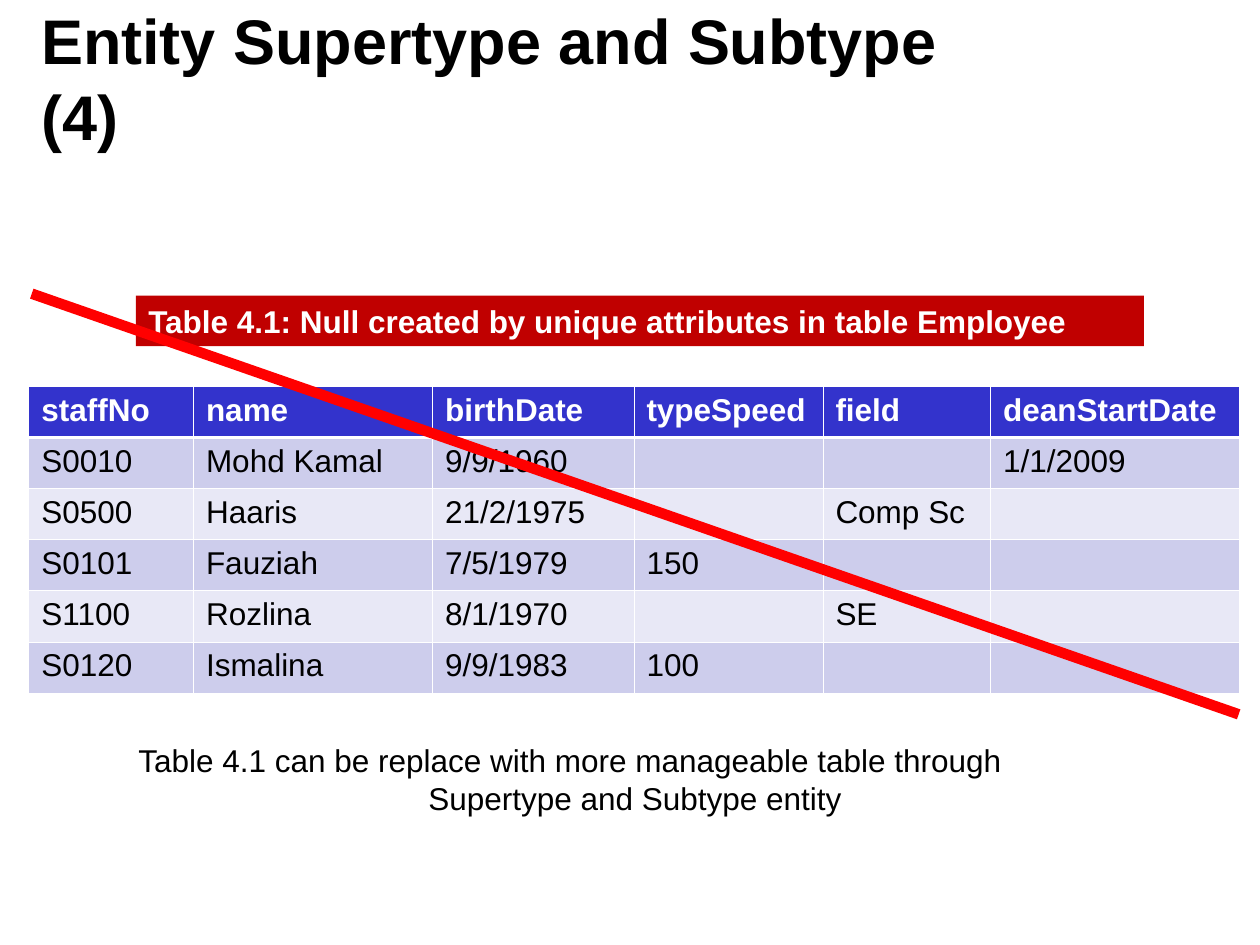
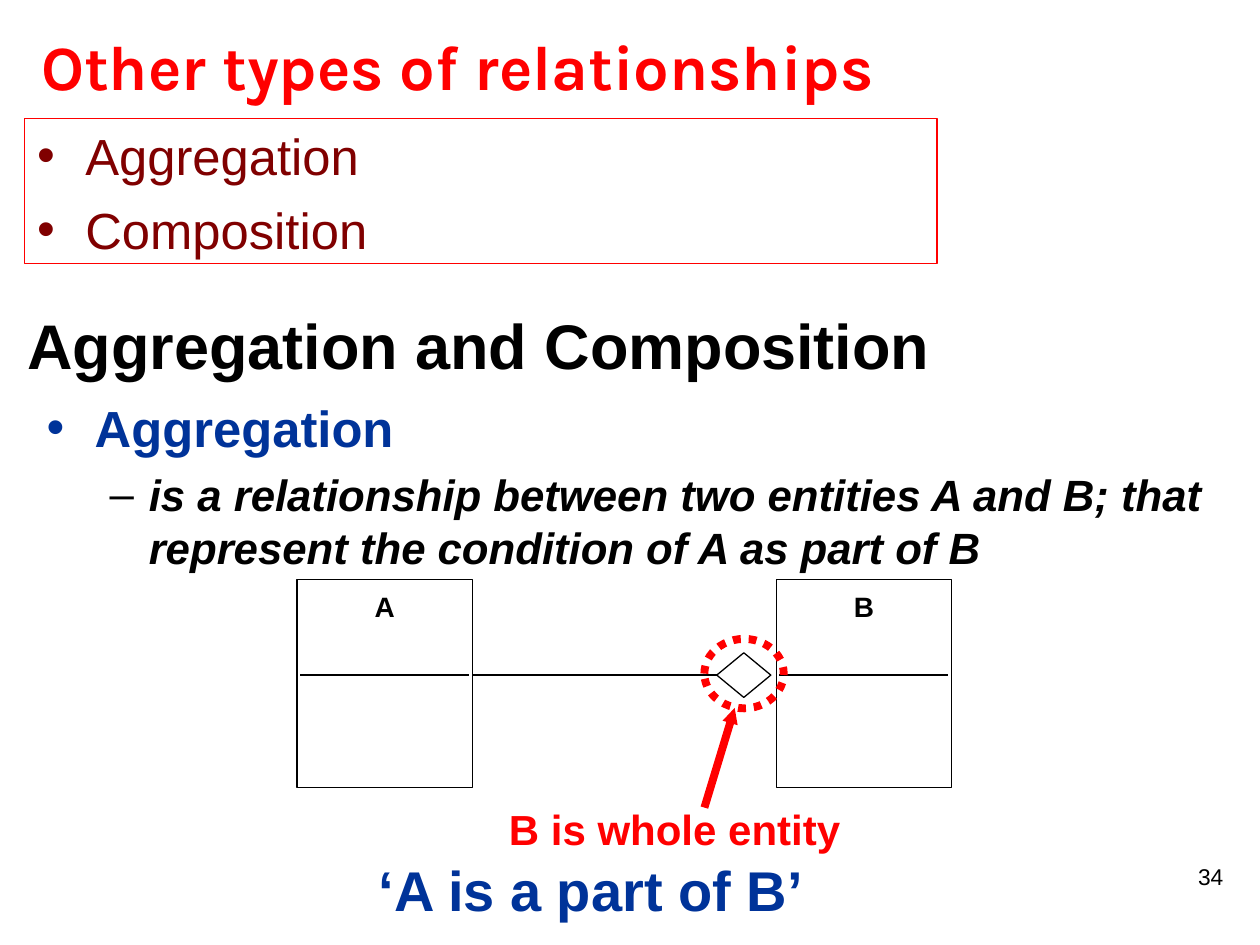
from pptx import Presentation
from pptx.dml.color import RGBColor
from pptx.enum.dml import MSO_LINE
from pptx.enum.shapes import MSO_CONNECTOR, MSO_SHAPE
from pptx.enum.text import MSO_ANCHOR, PP_ALIGN
from pptx.oxml.ns import qn
from pptx.util import Cm, Pt
from lxml.etree import SubElement

BLACK = RGBColor(0x00, 0x00, 0x00)
WHITE = RGBColor(0xFF, 0xFF, 0xFF)
RED = RGBColor(0xFF, 0x00, 0x00)
CRIMSON = RGBColor(0xC0, 0x00, 0x00)
MAROON = RGBColor(0x80, 0x00, 0x00)
NAVY = RGBColor(0x00, 0x33, 0x99)
HEADER_BLUE = RGBColor(0x33, 0x33, 0xCC)
BAND_DARK = RGBColor(0xCD, 0xCD, 0xEC)
BAND_LIGHT = RGBColor(0xE8, 0xE8, 0xF6)

TITLE_SIZE = (20.4, 2.36)
TITLE = {"size": 36, "bold": True}
BULLET = {"size": 29, "bullet": ("•", 0.97, 0.97)}
DASH = {"size": 25, "bold": True, "italic": True, "bullet": ("–", 2.06, 0.79),
        "space_before": Pt(6)}

COLUMN_WIDTHS = (3.32, 4.82, 4.06, 3.81, 3.38, 5.01)
ROW_HEIGHT = 1.03
STAFF = (
    ("staffNo", "name", "birthDate", "typeSpeed", "field", "deanStartDate"),
    ("S0010", "Mohd Kamal", "9/9/1960", "", "", "1/1/2009"),
    ("S0500", "Haaris", "21/2/1975", "", "Comp Sc", ""),
    ("S0101", "Fauziah", "7/5/1979", "150", "", ""),
    ("S1100", "Rozlina", "8/1/1970", "", "SE", ""),
    ("S0120", "Ismalina", "9/9/1983", "100", "", ""),
)


def add_bullet(para, mark, margin, hang, color):
    """Give a paragraph a coloured bullet with a hanging indent."""
    properties = para._p.get_or_add_pPr()
    properties.set("marL", str(Cm(margin)))
    properties.set("indent", str(-Cm(hang)))
    tint = SubElement(properties, qn("a:buClr"))
    SubElement(tint, qn("a:srgbClr"), val=str(color))
    SubElement(properties, qn("a:buFont"), typeface="Arial")
    SubElement(properties, qn("a:buChar"), char=mark)


def write_paragraph(para, text, values):
    """Fill one paragraph with a single formatted span."""
    values = {"size": 18, "name": "Arial", "color": BLACK, "bold": False, **values}
    for name in ("alignment", "space_before"):
        if name in values:
            setattr(para, name, values[name])
    if "bullet" in values:
        add_bullet(para, *values["bullet"], values["color"])
    span = para.add_run()
    span.text = text
    values["size"] = Pt(values["size"])
    for name in ("size", "name", "bold", "italic"):
        if name in values:
            setattr(span.font, name, values[name])
    span.font.color.rgb = values["color"]


def write(shape, *paragraphs, anchor=MSO_ANCHOR.TOP):
    """Write (text, values) pairs into a shape, one paragraph each."""
    frame = shape.text_frame
    frame.word_wrap = True
    frame.vertical_anchor = anchor
    for number, (text, values) in enumerate(paragraphs):
        para = frame.add_paragraph() if number else frame.paragraphs[0]
        write_paragraph(para, text, {"alignment": PP_ALIGN.LEFT, **values})


def add_text(page, box, *paragraphs, **options):
    """Add a text box."""
    write(page.shapes.add_textbox(*map(Cm, box)), *paragraphs, **options)


def add_shape(page, kind, box, fill=None, line=None, width=0.75):
    """Add a flat preset shape."""
    shape = page.shapes.add_shape(kind, *map(Cm, box))
    shape.shadow.inherit = False
    if fill is None:
        shape.fill.background()
    else:
        shape.fill.solid()
        shape.fill.fore_color.rgb = fill
    if line is None:
        shape.line.fill.background()
    else:
        shape.line.color.rgb = line
        shape.line.width = Pt(width)
    return shape


def add_line(page, start, end, color=BLACK, width=0.75, arrow=False):
    """Add a straight line, with an arrowhead at its end if asked."""
    line = page.shapes.add_connector(MSO_CONNECTOR.STRAIGHT, *map(Cm, start + end))
    line.line.color.rgb = color
    line.line.width = Pt(width)
    if arrow:
        SubElement(line.line._get_or_add_ln(), qn("a:tailEnd"),
                   type="triangle", w="sm", len="sm")
    SubElement(line._element.spPr, qn("a:effectLst"))


def add_title(page, left, top, text, **values):
    """Add a slide heading."""
    add_text(page, (left, top, *TITLE_SIZE), (text, {**TITLE, **values}),
             anchor=MSO_ANCHOR.MIDDLE)


def add_borders(cell, widths):
    """Draw white borders around a table cell."""
    properties = cell._tc.get_or_add_tcPr()
    for side, width in widths.items():
        border = SubElement(properties, qn(f"a:ln{side}"), w=str(Pt(width)))
        fill = SubElement(border, qn("a:solidFill"))
        SubElement(fill, qn("a:srgbClr"), val=str(WHITE))


def add_staff_table(page, left, top):
    """Add the staff table with its header row and banded rows."""
    size = (sum(COLUMN_WIDTHS), ROW_HEIGHT * len(STAFF))
    table = page.shapes.add_table(len(STAFF), len(COLUMN_WIDTHS),
                                  *map(Cm, (left, top, *size))).table
    for column, width in zip(table.columns, COLUMN_WIDTHS):
        column.width = Cm(width)
    for row, texts in enumerate(STAFF):
        header = row == 0
        fill = HEADER_BLUE if header else BAND_DARK if row % 2 else BAND_LIGHT
        values = {"color": WHITE if header else BLACK, "bold": header}
        widths = {"L": 0.45, "R": 0.45, "T": 1.47 if row == 1 else 0.45,
                  "B": 1.47 if header else 0.45}
        for cell, text in zip(table.rows[row].cells, texts):
            add_borders(cell, widths)
            cell.fill.solid()
            cell.fill.fore_color.rgb = fill
            if text:
                write_paragraph(cell.text_frame.paragraphs[0], text, values)


def add_entity(page, left, top, name):
    """Add an entity box with its name above a divider."""
    width, height, divider, gap = 3.53, 4.19, 1.93, 0.06
    add_shape(page, MSO_SHAPE.RECTANGLE, (left, top, width, height), WHITE, BLACK)
    label = add_shape(page, MSO_SHAPE.RECTANGLE,
                      (left + 0.8, top + 0.08, width - 1.6, 1.73), WHITE)
    write(label, (name, {"size": 16, "bold": True, "alignment": PP_ALIGN.CENTER}))
    add_line(page, (left + gap, top + divider), (left + width - gap, top + divider))


def add_aggregation_diagram(page, left, top):
    """Add entities A and B, their link and the marked diamond."""
    middle = top + 1.93
    add_line(page, (left + 3.3, middle), (left + 8.7, middle))
    add_shape(page, MSO_SHAPE.FLOWCHART_DECISION,
              (left + 8.46, middle - 0.45, 1.09, 0.9), WHITE, BLACK)
    add_entity(page, left, top, "A")
    add_entity(page, left + 9.66, top, "B")
    ring = add_shape(page, MSO_SHAPE.OVAL, (left + 8.21, middle - 0.73, 1.6, 1.4),
                     line=RED, width=4.5)
    ring.line.dash_style = MSO_LINE.ROUND_DOT
    add_text(page, (left + 4.02, top + 4.4, 7.39, 1.27),
             ("B is whole entity", {"size": 24, "bold": True, "color": RED}))
    add_line(page, (left + 8.21, top + 4.6), (left + 8.82, top + 2.59), RED, 4.5, True)
    add_text(page, (left + 0.72, top + 5.44, 10.41, 1.63),
             ("‘A is a part of B’", {"size": 32, "bold": True, "color": NAVY,
                                     "alignment": PP_ALIGN.CENTER}))


def add_relationship_list(page, left, top):
    """Add the framed list of relationship types."""
    frame = add_shape(page, MSO_SHAPE.RECTANGLE, (left, top, 18.39, 2.92), WHITE, RED)
    values = {**BULLET, "color": MAROON}
    write(frame, ("Aggregation", values),
          ("Composition", {**values, "space_before": Pt(7.3)}))


def build_supertype_slide(page):
    """Build the slide on the table with nulls."""
    add_title(page, 0.58, 0.38, "Entity Supertype and Subtype (4)")
    add_staff_table(page, 0.58, 7.79)
    caption = add_shape(page, MSO_SHAPE.RECTANGLE, (2.74, 5.96, 20.32, 1.02), CRIMSON)
    write(caption, ("Table 4.1: Null created by unique attributes in table Employee",
                    {"bold": True, "color": WHITE}))
    add_line(page, (0.64, 5.92), (24.97, 14.4), RED, 6)
    add_text(page, (2.54, 14.81, 20.52, 1.78),
             ("Table 4.1 can be replace with more manageable table through", {}),
             ("Supertype and Subtype entity", {"alignment": PP_ALIGN.CENTER}))


def build_relationship_slide(page):
    """Build the slide on aggregation and composition."""
    add_text(page, (19.63, 17.27, 5.28, 1.27),
             ("34", {"size": 13, "alignment": PP_ALIGN.RIGHT}))
    add_title(page, 0.3, 5.76, "Aggregation and Composition")
    add_text(page, (0.69, 7.87, 24.41, 3.8),
             ("Aggregation", {**BULLET, "bold": True, "color": NAVY}),
             ("is a relationship between two entities A and B; "
              "that represent the condition of A as part of B", DASH))
    add_aggregation_diagram(page, 5.99, 11.68)
    add_title(page, 0.58, 0.14, "Other types of relationships", name="Karla", color=RED)
    add_relationship_list(page, 0.5, 2.39)


def main():
    """Build and save the deck."""
    deck = Presentation()
    deck.slide_width, deck.slide_height = Cm(25.4), Cm(19.05)
    for build in (build_supertype_slide, build_relationship_slide):
        build(deck.slides.add_slide(deck.slide_layouts[6]))
    deck.save("out.pptx")


if __name__ == "__main__":
    main()
